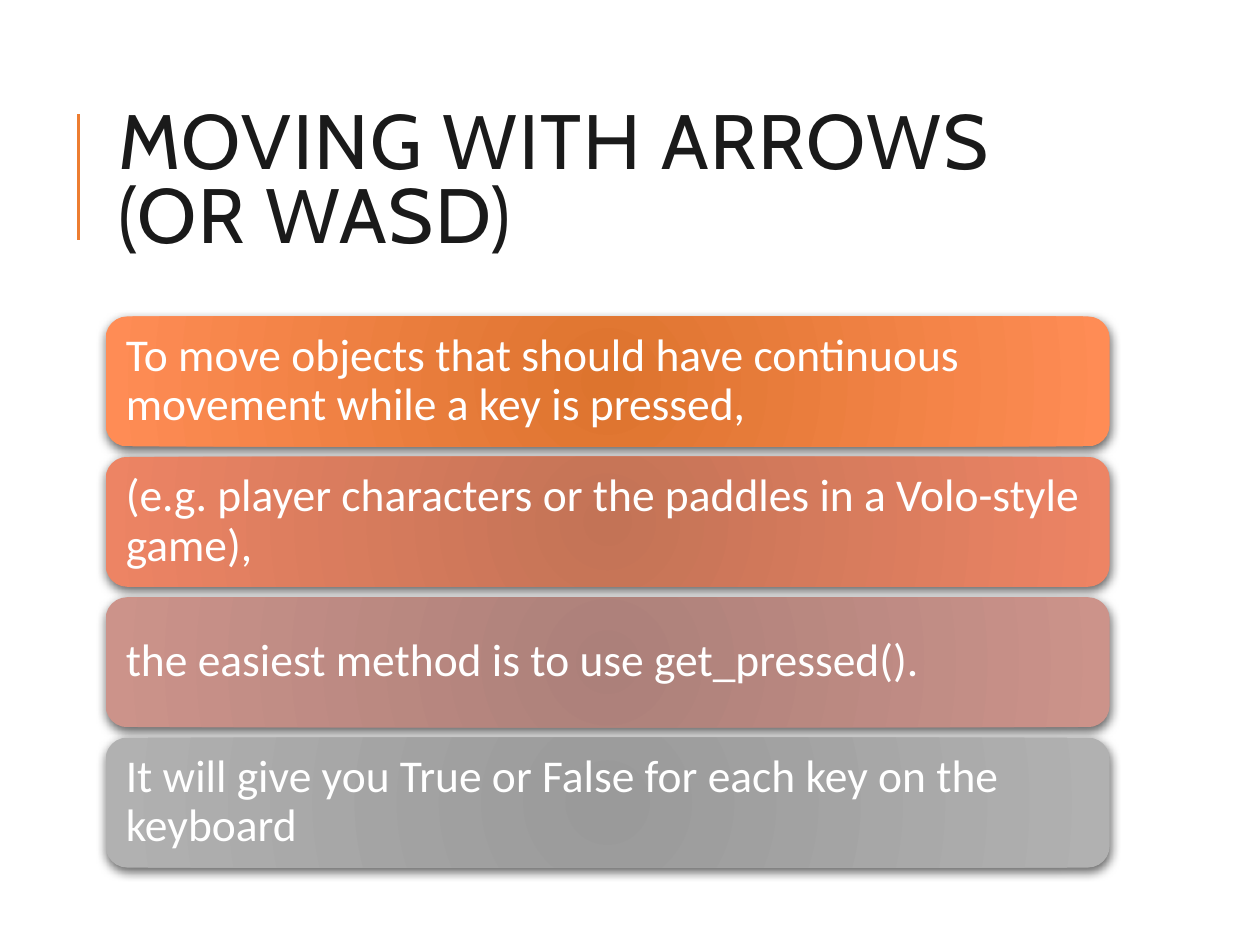
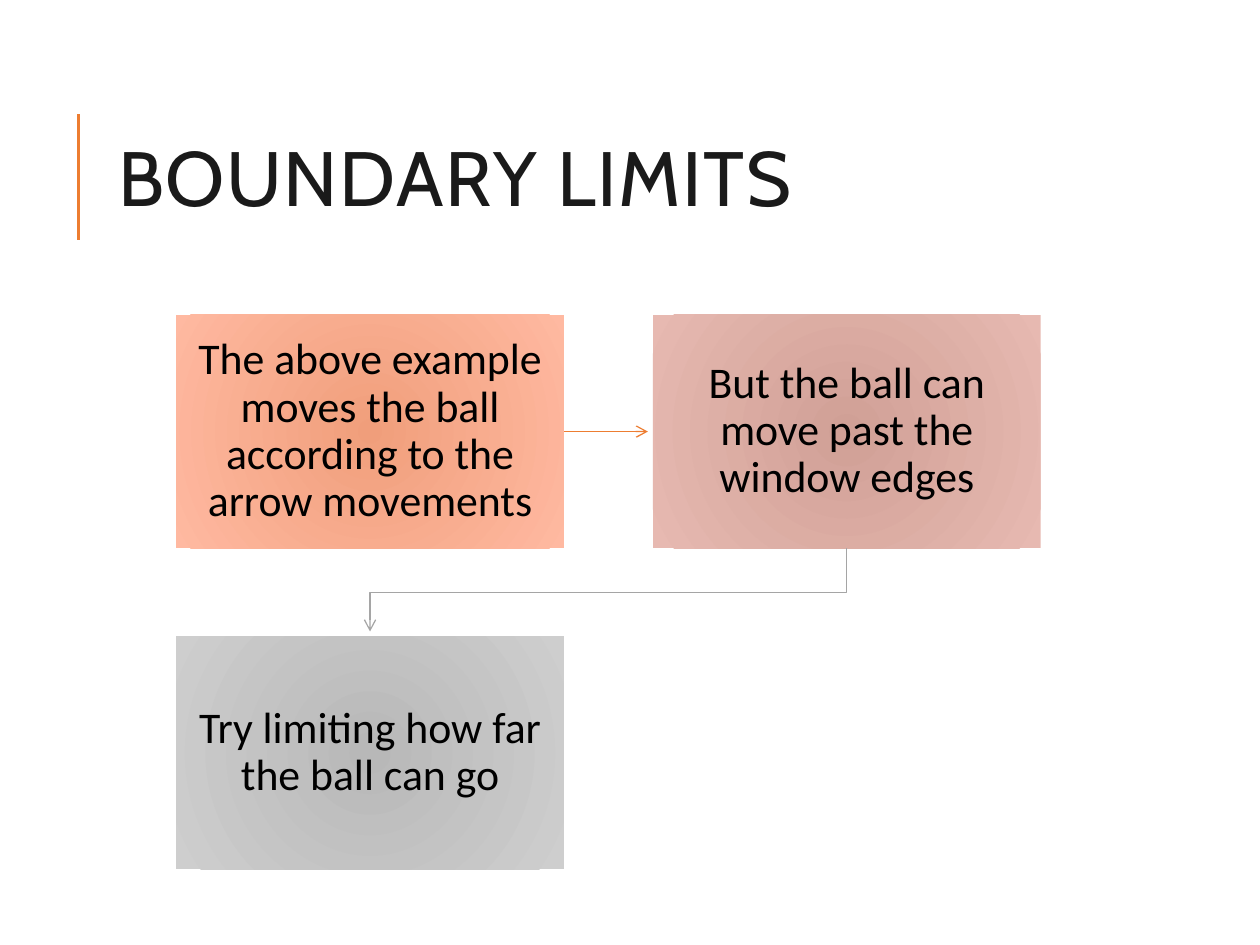
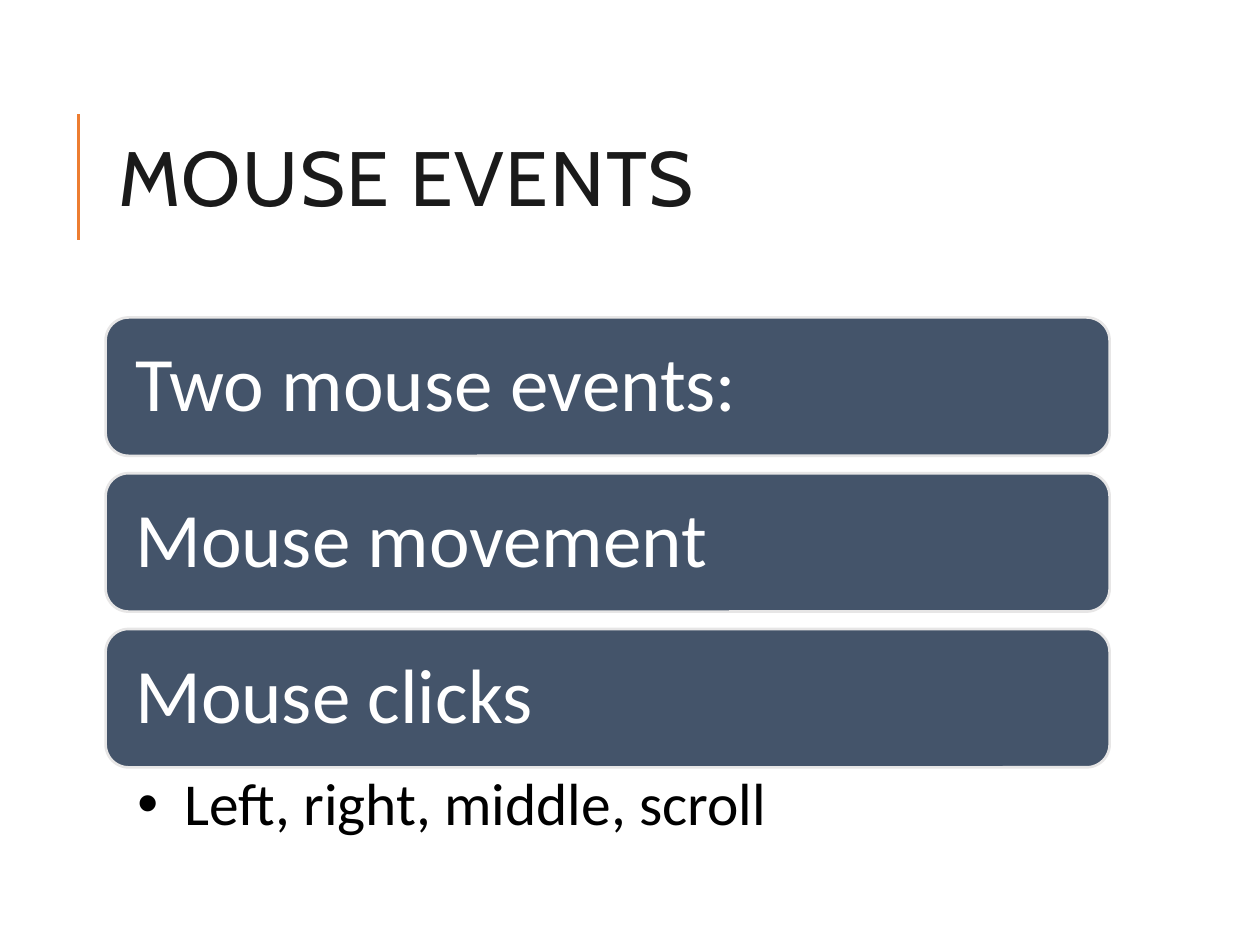
import dataclasses

import lxml.etree
import pptx
import pptx.dml.color
import pptx.enum.shapes
import pptx.enum.text
import pptx.oxml
import pptx.oxml.ns
import pptx.util

Cm = pptx.util.Cm
Pt = pptx.util.Pt
RGB = pptx.dml.color.RGBColor.from_string
SHAPE = pptx.enum.shapes.MSO_SHAPE
ALIGN = pptx.enum.text.PP_ALIGN
ANCHOR = pptx.enum.text.MSO_ANCHOR
qn = pptx.oxml.ns.qn


@dataclasses.dataclass(frozen=True)
class Theme:
    title_font: str = "Cabin"
    body_font: str = "Calibri"
    title_size: int = 44
    bar_size: int = 26
    step_size: int = 25
    event_size: int = 44
    bullet_size: int = 34
    title_color: str = "1A1A1A"
    accent: str = "ED7D31"
    gray: str = "A5A5A5"
    slate: str = "44546A"
    pale: str = "E7E6E6"
    white: str = "FFFFFF"
    black: str = "000000"
    # Centre and edge colours of the radial gradients
    bar_fills: tuple = (("DD742E", "FF8C55"), ("C37356", "ED8464"),
                        ("AC807A", "CC938A"), ("9A9A9A", "B1B1B1"))
    step_fills: tuple = (("F09E7B", "FFB9A1"), ("D0A096", "E7B9B1"),
                         ("B8B8B8", "CECECE"))


theme = Theme()
DRAWING = 'xmlns:a="http://schemas.openxmlformats.org/drawingml/2006/main"'


def write_text(shape, text, font, size, color, margins, align=ALIGN.LEFT,
               anchor=ANCHOR.MIDDLE, line_spacing=0.9):
    """Fill a shape with one paragraph; margins are left, top, right, bottom in cm."""
    frame = shape.text_frame
    frame.word_wrap = True
    frame.auto_size = pptx.enum.text.MSO_AUTO_SIZE.NONE
    frame.vertical_anchor = anchor
    (frame.margin_left, frame.margin_top,
     frame.margin_right, frame.margin_bottom) = map(Cm, margins)
    frame.text = text
    paragraph = frame.paragraphs[0]
    paragraph.alignment = align
    paragraph.line_spacing = line_spacing
    paragraph.space_before = Pt(0)
    paragraph.font.name = font
    paragraph.font.size = Pt(size)
    paragraph.font.color.rgb = RGB(color)
    return paragraph


def add_box(slide, kind, bounds, gradient=None):
    """Add a box without outline; a gradient runs from its centre to its edge."""
    box = slide.shapes.add_shape(kind, *map(Cm, bounds))
    box.shadow.inherit = False
    box.line.fill.background()
    if gradient:
        center, edge = gradient
        box.fill.gradient()
        grad_fill = box._element.spPr.find(qn("a:gradFill"))
        grad_fill.getparent().replace(grad_fill, pptx.oxml.parse_xml(
            f'<a:gradFill {DRAWING} rotWithShape="1"><a:gsLst>'
            f'<a:gs pos="0"><a:srgbClr val="{center}"/></a:gs>'
            f'<a:gs pos="100000"><a:srgbClr val="{edge}"/></a:gs></a:gsLst>'
            '<a:path path="circle"><a:fillToRect l="100000" t="100000" '
            'r="100000" b="100000"/></a:path></a:gradFill>'))
    return box


presentation = pptx.Presentation()
presentation.slide_width = Cm(25.4)
presentation.slide_height = Cm(19.05)
content_layout, title_layout = presentation.slide_layouts[1], presentation.slide_layouts[5]

content_left, content_width = 2.13, 20.24

# Title and accent rule on every slide
slides = []
for layout, heading in ((title_layout, "MOVING WITH ARROWS (OR WASD)"),
                        (title_layout, "BOUNDARY LIMITS"),
                        (content_layout, "MOUSE EVENTS")):
    slide = presentation.slides.add_slide(layout)
    title = slide.shapes.title
    title.left, title.top, title.width, title.height = map(
        Cm, (content_left, 1.63, content_width, 4.17))
    paragraph = write_text(title, heading, theme.title_font, theme.title_size,
                           theme.title_color, (0.25, 0.13, 0.25, 0.13), line_spacing=0.8)
    paragraph.runs[0]._r.get_or_add_rPr().set("spc", "100")
    rule = slide.shapes.add_connector(pptx.enum.shapes.MSO_CONNECTOR.STRAIGHT,
                                      Cm(1.58), Cm(4.83), Cm(1.58), Cm(2.29))
    rule.line.color.rgb = RGB(theme.accent)
    rule.line.width = Pt(1.5)
    lxml.etree.SubElement(rule._element.spPr, qn("a:effectLst"))
    slides.append(slide)
arrows_slide, limits_slide, mouse_slide = slides

# Slide 1: stacked bars
bar_texts = ("To move objects that should have continuous movement while a key is pressed,",
             "(e.g. player characters or the paddles in a Volo-style game),",
             "the easiest method is to use get_pressed().",
             "It will give you True or False for each key on the keyboard")
for row, (text, gradient) in enumerate(zip(bar_texts, theme.bar_fills)):
    bar = add_box(arrows_slide, SHAPE.ROUNDED_RECTANGLE,
                  (content_left, 6.38 + row * 2.83, content_width, 2.62), gradient)
    write_text(bar, text, theme.body_font, theme.bar_size, theme.white, (0.28,) * 4)
    bar._element.spPr.find(qn("a:effectLst")).append(pptx.oxml.parse_xml(
        f'<a:outerShdw {DRAWING} blurRad="76200" dist="25400" dir="5400000" '
        f'rotWithShape="0"><a:srgbClr val="{theme.black}"><a:alpha val="60000"/>'
        '</a:srgbClr></a:outerShdw>'))

# Slide 2: steps in a two-column grid
step_texts = ("The above example moves the ball according to the arrow movements",
              "But the ball can move past the window edges",
              "Try limiting how far the ball can go")
step_left, step_top, step_width, step_height = 3.55, 6.35, 7.82, 4.7
column_pitch, row_pitch = 9.61, 6.48
steps = []
for index, (text, gradient) in enumerate(zip(step_texts, theme.step_fills)):
    row, column = divmod(index, 2)
    step = add_box(limits_slide, SHAPE.RECTANGLE,
                   (step_left + column * column_pitch, step_top + row * row_pitch,
                    step_width, step_height), gradient)
    write_text(step, text, theme.body_font, theme.step_size, theme.black,
               (0.38, 0.41, 0.38, 0.41), ALIGN.CENTER)
    steps.append(step)

arrow_gap = Cm(0.1)
first, second, third = steps
middle = first.top + first.height // 2
across = limits_slide.shapes.add_connector(
    pptx.enum.shapes.MSO_CONNECTOR.STRAIGHT,
    first.left + first.width, middle, second.left - arrow_gap, middle)
across.begin_connect(first, 3)
lxml.etree.SubElement(across._element.spPr, qn("a:effectLst"))

start_x = second.left + second.width // 2
end_x = third.left + third.width // 2
bottom = second.top + second.height
turn_y = (bottom + third.top) // 2
builder = limits_slide.shapes.build_freeform(start_x, bottom)
builder.add_line_segments(((start_x, turn_y), (end_x, turn_y),
                           (end_x, third.top - arrow_gap)), close=False)
back = builder.convert_to_shape()
back.fill.background()
back.shadow.inherit = False

for arrow, color in ((across, theme.accent), (back, theme.gray)):
    arrow.line.color.rgb = RGB(color)
    arrow.line.width = Pt(0.75)
    lxml.etree.SubElement(arrow.line._get_or_add_ln(), qn("a:tailEnd"), type="arrow")

# Slide 3: event bars and a list
for row, text in enumerate(("Two mouse events:", "Mouse movement", "Mouse clicks")):
    event = add_box(mouse_slide, SHAPE.ROUNDED_RECTANGLE,
                    (content_left, 6.4 + row * 3.14, content_width, 2.79))
    event.fill.solid()
    event.fill.fore_color.rgb = RGB(theme.slate)
    event.line.color.rgb = RGB(theme.pale)
    event.line.width = Pt(1.5)
    write_text(event, text, theme.body_font, theme.event_size, theme.white, (0.46,) * 4)

buttons = mouse_slide.placeholders[1]
buttons.left, buttons.top, buttons.width, buttons.height = map(
    Cm, (content_left, 15.46, content_width, 2.03))
properties = buttons.text_frame.paragraphs[0]._p.get_or_add_pPr()
bullet_indent = Cm(0.65)
properties.set("marL", str(bullet_indent))
properties.set("indent", str(-bullet_indent))
lxml.etree.SubElement(properties, qn("a:buChar"), char="•")
write_text(buttons, "Left, right, middle, scroll", theme.body_font, theme.bullet_size,
           theme.black, (0.64, 0.15, 0.86, 0.15), anchor=ANCHOR.TOP)

presentation.save("out.pptx")
